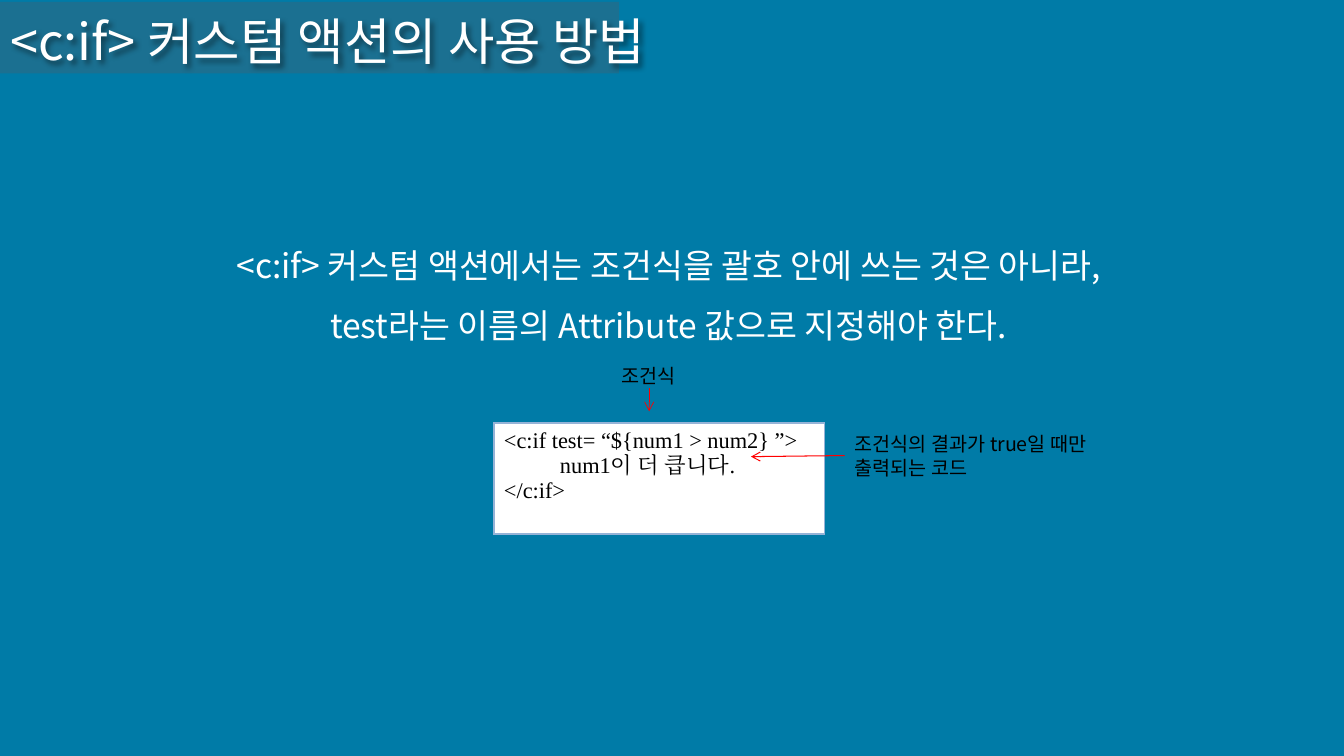
"""Build a slide that explains how the <c:if> custom action is used."""
from dataclasses import dataclass

from lxml import etree
from pptx import Presentation
from pptx.dml.color import RGBColor
from pptx.enum.shapes import MSO_CONNECTOR, MSO_SHAPE
from pptx.enum.text import MSO_ANCHOR, MSO_AUTO_SIZE, PP_ALIGN
from pptx.oxml.ns import qn
from pptx.slide import Slide
from pptx.text.text import TextFrame
from pptx.util import Pt

LEFT, CENTER = PP_ALIGN.LEFT, PP_ALIGN.CENTER
TOP, MIDDLE = MSO_ANCHOR.TOP, MSO_ANCHOR.MIDDLE
NO_AUTOFIT = MSO_AUTO_SIZE.NONE
RECTANGLE = MSO_SHAPE.RECTANGLE
STRAIGHT = MSO_CONNECTOR.STRAIGHT
TITLE_ONLY = 5


@dataclass(frozen=True)
class Theme:
    background: str = "007BA7"
    band: str = "615758"
    light: str = "FFFFFF"
    dark: str = "000000"
    border: str = "95B3D7"
    arrow: str = "FF0000"
    sans: str = "Noto Sans CJK KR"
    serif: str = "Times New Roman"
    title: float = 36
    body: float = 24
    code: float = 16
    note: float = 14


THEME = Theme()


@dataclass(frozen=True)
class Label:
    lines: tuple[str, ...]
    box: tuple[float, float, float, float]
    size: float
    color: str
    align: PP_ALIGN = LEFT
    anchor: MSO_ANCHOR = MIDDLE
    spacing: float = 1.0


@dataclass(frozen=True)
class Arrow:
    start: tuple[float, float]
    end: tuple[float, float]
    width: float


TITLE = "<c:if> 커스텀 액션의 사용 방법"
LABELS = (
    Label(("<c:if> 커스텀 액션에서는 조건식을 괄호 안에 쓰는 것은 아니라,",
           "test라는 이름의 Attribute 값으로 지정해야 한다."),
          (147.6, 157, 660, 92), THEME.body, THEME.light, CENTER, TOP, 1.5),
    Label(("조건식의 결과가 true일 때만", "출력되는 코드"),
          (603.4, 310.3, 244.8, 30.2), THEME.note, THEME.dark),
    Label(("조건식",), (437, 259.2, 60, 18), THEME.note, THEME.dark),
)
CODE = ("<c:if test= “${num1 > num2} ”>", "num1이 더 큽니다.", "</c:if>")
CODE_INDENT = 40
ARROWS = (
    Arrow((463.7, 277.2), (463.7, 293.8), 0.5),
    Arrow((603.4, 325.4), (536.4, 326.2), 0.75),
)


def rgb(color: str) -> RGBColor:
    """Return a hex string as a colour."""
    return RGBColor.from_string(color)


def write_text(tf: TextFrame, lines: tuple[str, ...], *, size: float,
               color: str, font: str = THEME.sans, align: PP_ALIGN = LEFT,
               spacing: float = 1.0) -> None:
    """Write one formatted paragraph for each line."""
    for i, line in enumerate(lines):
        p = tf.paragraphs[0] if i == 0 else tf.add_paragraph()
        p.alignment = align
        p.line_spacing = spacing
        r = p.add_run()
        r.text = line
        r.font.name = font
        r.font.size = Pt(size)
        r.font.color.rgb = rgb(color)
        ea = etree.SubElement(r.font._element, qn("a:ea"))
        ea.set("typeface", font)


def add_band(s: Slide) -> None:
    """Draw the translucent band behind the title."""
    sp = s.shapes.add_shape(RECTANGLE, 0, Pt(1.4), Pt(442), Pt(51))
    sp.shadow.inherit = False
    sp.fill.solid()
    sp.fill.fore_color.rgb = rgb(THEME.band)
    sp.line.fill.background()
    fill = sp._element.spPr.find(f".//{qn('a:srgbClr')}")
    etree.SubElement(fill, qn("a:alpha")).set("val", "28000")


def format_title(s: Slide) -> None:
    """Place the title in front of the band and give it a soft shadow."""
    sp = s.shapes.title
    sp.left, sp.top, sp.width, sp.height = 0, Pt(3.6), Pt(541.4), Pt(51)
    tf = sp.text_frame
    tf.auto_size = NO_AUTOFIT
    tf.vertical_anchor = MIDDLE
    write_text(tf, (TITLE,), size=THEME.title, color=THEME.light)
    effects = etree.SubElement(sp._element.spPr, qn("a:effectLst"))
    shadow = etree.SubElement(effects, qn("a:outerShdw"), blurRad=str(Pt(4)),
                              dist=str(Pt(3)), dir="2700000")
    color = etree.SubElement(shadow, qn("a:srgbClr"), val=THEME.dark)
    etree.SubElement(color, qn("a:alpha"), val="43000")
    s.shapes._spTree.append(sp._element)


def add_label(s: Slide, label: Label) -> None:
    """Add a text box."""
    sp = s.shapes.add_textbox(*map(Pt, label.box))
    tf = sp.text_frame
    tf.word_wrap = True
    tf.vertical_anchor = label.anchor
    write_text(tf, label.lines, size=label.size, color=label.color,
               align=label.align, spacing=label.spacing)


def add_code_table(s: Slide) -> None:
    """Add the one-cell table that holds the code."""
    frame = s.shapes.add_table(1, 1, Pt(352.8), Pt(302.4), Pt(236.2), Pt(79.2))
    table = frame.table
    table.first_row = table.horz_banding = False
    cell = table.cell(0, 0)
    write_text(cell.text_frame, CODE, size=THEME.code, color=THEME.dark,
               font=THEME.serif)
    pPr = cell.text_frame.paragraphs[1]._p.get_or_add_pPr()
    pPr.set("marL", str(Pt(CODE_INDENT)))
    tcPr = cell._tc.get_or_add_tcPr()
    for side in ("lnL", "lnR", "lnT", "lnB"):
        ln = etree.SubElement(tcPr, qn(f"a:{side}"), w=str(Pt(1.5)))
        fill = etree.SubElement(ln, qn("a:solidFill"))
        etree.SubElement(fill, qn("a:srgbClr"), val=THEME.border)
    cell.fill.solid()
    cell.fill.fore_color.rgb = rgb(THEME.light)


def add_arrow(s: Slide, arrow: Arrow) -> None:
    """Add a straight arrow."""
    sp = s.shapes.add_connector(STRAIGHT, *map(Pt, arrow.start + arrow.end))
    sp.line.color.rgb = rgb(THEME.arrow)
    sp.line.width = Pt(arrow.width)
    ln = sp.line._get_or_add_ln()
    etree.SubElement(ln, qn("a:tailEnd"), type="arrow")
    etree.SubElement(sp._element.spPr, qn("a:effectLst"))


def main() -> None:
    """Build and save the presentation."""
    prs = Presentation()
    prs.slide_width, prs.slide_height = Pt(960), Pt(540)
    s = prs.slides.add_slide(prs.slide_layouts[TITLE_ONLY])
    s.background.fill.solid()
    s.background.fill.fore_color.rgb = rgb(THEME.background)
    add_band(s)
    format_title(s)
    add_code_table(s)
    for label in LABELS:
        add_label(s, label)
    for arrow in ARROWS:
        add_arrow(s, arrow)
    prs.save("out.pptx")


if __name__ == "__main__":
    main()
